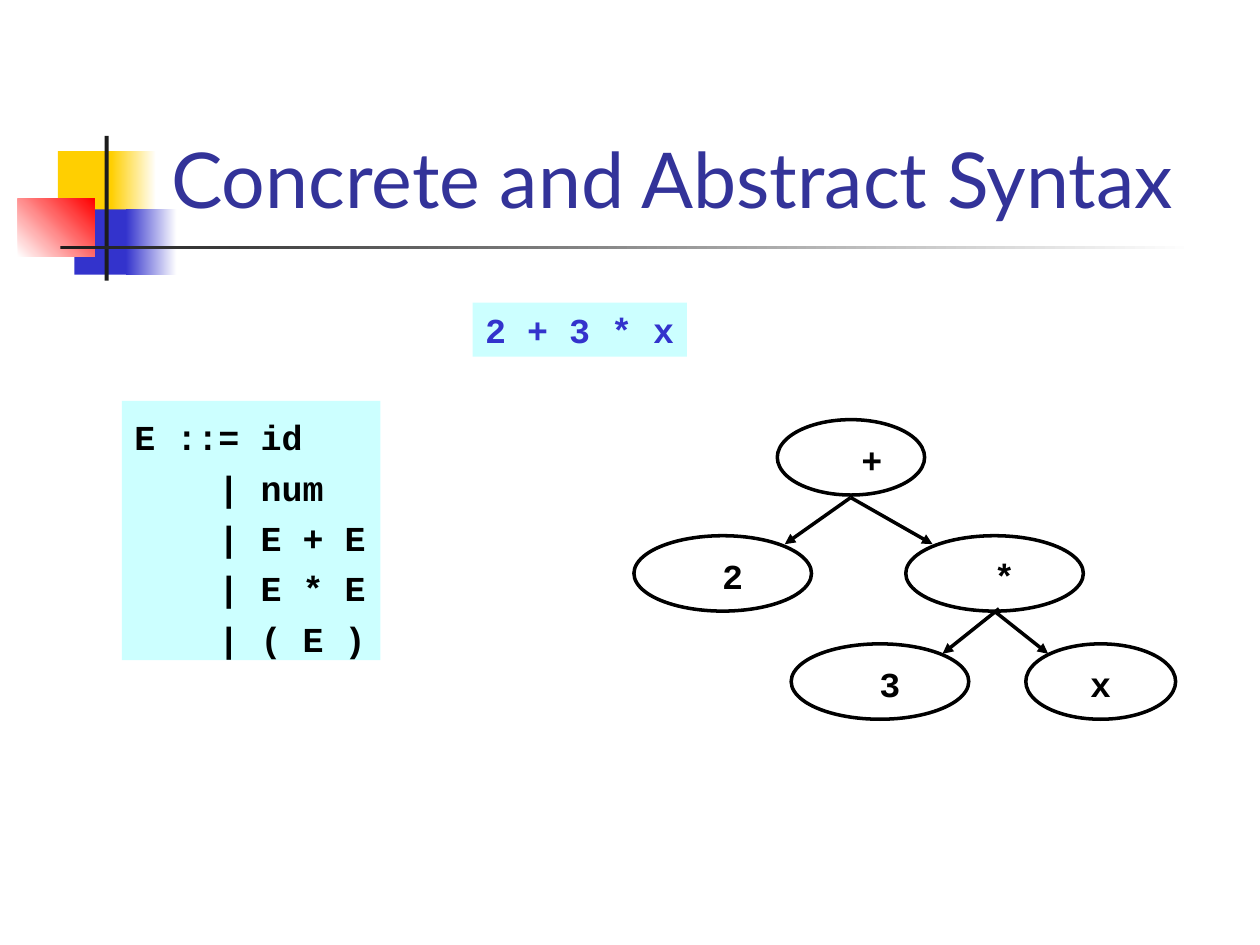
"""Build the slide on concrete and abstract syntax."""
from typing import NamedTuple

from lxml import etree
from pptx import Presentation
from pptx.dml.color import RGBColor
from pptx.enum.shapes import MSO_CONNECTOR, MSO_SHAPE
from pptx.enum.text import MSO_ANCHOR, PP_ALIGN
from pptx.oxml.ns import qn
from pptx.util import Cm, Pt

RECTANGLE, OVAL = MSO_SHAPE.RECTANGLE, MSO_SHAPE.OVAL
STRAIGHT = MSO_CONNECTOR.STRAIGHT
TOP, MIDDLE, BOTTOM = MSO_ANCHOR.TOP, MSO_ANCHOR.MIDDLE, MSO_ANCHOR.BOTTOM
LEFT, CENTER = PP_ALIGN.LEFT, PP_ALIGN.CENTER

COLORS = {
    "yellow": "FFCF01", "blue": "3333CC", "red": "FF0000", "white": "FFFFFF",
    "charcoal": "1C1C1C", "title": "333399", "panel": "CCFFFF", "black": "000000",
}
CODE_FONT, TITLE_FONT = "Courier New", "Lato"
NODE_HEIGHT = 1.52
GRAMMAR = ["E ::= id", "    | num", "    | E + E", "    | E * E", "    | ( E )"]


class Block(NamedTuple):
    """A rectangle in centimetres, solid or fading to a second color."""
    left: float
    top: float
    width: float
    height: float
    color: str
    fade: str = ""
    angle: float = 0


class Node(NamedTuple):
    """A syntax tree node whose label sits right of centre by shift."""
    label: str
    left: float
    top: float
    width: float
    shift: float


class Edge(NamedTuple):
    """An arrow between two points in centimetres."""
    start_x: float
    start_y: float
    end_x: float
    end_y: float


BLOCKS = [
    Block(1.17, 3.05, 1.22, 1.32, "yellow"),
    Block(2.24, 3.05, 0.91, 1.32, "yellow", "white"),
    Block(1.5, 4.22, 1.17, 1.32, "blue"),
    Block(2.54, 4.22, 1.02, 1.32, "blue", "white"),
    Block(0.36, 4.01, 1.55, 1.17, "white", "red", 45),
    Block(2.11, 2.74, 0.08, 2.92, "charcoal"),
    Block(1.22, 4.95, 22.86, 0.08, "charcoal", "white"),
]
EXPRESSION_PANEL = Block(9.53, 6.1, 4.32, 1.09, "panel")
GRAMMAR_PANEL = Block(2.46, 8.08, 5.21, 5.23, "panel")
NODES = [
    Node("+", 15.67, 8.46, 2.97, 0.42),
    Node("2", 12.78, 10.8, 3.58, 0.2),
    Node("*", 18.26, 10.8, 3.58, 0.2),
    Node("3", 15.95, 12.98, 3.58, 0.2),
    Node("x", 20.68, 12.98, 3.02, 0),
]
EDGES = [
    Edge(17.15, 10.03, 15.82, 10.97),
    Edge(17.15, 10.03, 18.8, 10.97),
    Edge(20.14, 12.27, 19, 13.18),
    Edge(20.07, 12.34, 21.13, 13.18),
]


def rgb(name: str) -> RGBColor:
    """Return the named color."""
    return RGBColor.from_string(COLORS[name])


def write(box, lines: list[str], *, font=CODE_FONT, size=20, color="black", bold=True,
          align=LEFT, anchor=TOP, wrap=False, gap=0.0, margins=(0.25, 0.13, 0.25, 0.13)) -> None:
    """Fill the box with one formatted paragraph per line."""
    frame = box.text_frame
    frame.word_wrap, frame.vertical_anchor = wrap, anchor
    (frame.margin_left, frame.margin_top,
     frame.margin_right, frame.margin_bottom) = map(Cm, margins)
    for index, line in enumerate(lines):
        para = frame.add_paragraph() if index else frame.paragraphs[0]
        para.alignment = align
        para.space_before = Pt(gap if index else 0)
        span = para.add_run()
        span.text = line
        span.font.name, span.font.size, span.font.bold = font, Pt(size), bold
        span.font.color.rgb = rgb(color)


def draw_block(page, block: Block):
    """Draw a borderless rectangle and return it."""
    shape = page.shapes.add_shape(RECTANGLE, *map(Cm, block[:4]))
    shape.shadow.inherit = False
    shape.line.fill.background()
    if block.fade:
        shape.fill.gradient()
        shape.fill.gradient_angle = block.angle
        for stop, name in zip(shape.fill.gradient_stops, (block.color, block.fade)):
            stop.color.rgb = rgb(name)
    else:
        shape.fill.solid()
        shape.fill.fore_color.rgb = rgb(block.color)
    return shape


def draw_node(page, node: Node) -> None:
    """Draw an outlined ellipse with its label."""
    shape = page.shapes.add_shape(
        OVAL, Cm(node.left), Cm(node.top), Cm(node.width), Cm(NODE_HEIGHT))
    shape.shadow.inherit = False
    shape.fill.background()
    shape.line.color.rgb = rgb("black")
    shape.line.width = Pt(2)
    write(shape, [node.label], align=CENTER, anchor=MIDDLE, wrap=True,
          margins=(2 * node.shift, 0.13, 0, 0.05))


def draw_edge(page, edge: Edge) -> None:
    """Draw a straight arrow."""
    arrow = page.shapes.add_connector(STRAIGHT, *map(Cm, edge))
    arrow.line.color.rgb = rgb("black")
    arrow.line.width = Pt(2)
    etree.SubElement(arrow.line._get_or_add_ln(), qn("a:tailEnd"), type="triangle")
    etree.SubElement(arrow._element.spPr, qn("a:effectLst"))


def main() -> None:
    """Assemble and save the deck."""
    deck = Presentation()
    deck.slide_width, deck.slide_height = Cm(25.4), Cm(19.05)
    page = deck.slides.add_slide(deck.slide_layouts[5])
    for block in BLOCKS:
        draw_block(page, block)
    title = page.shapes.title
    title.left, title.top, title.width, title.height = map(Cm, (3.2, 0.58, 21.64, 4.06))
    write(title, ["Concrete and Abstract Syntax"], font=TITLE_FONT, size=44,
          color="title", bold=False, anchor=BOTTOM, wrap=True)
    write(draw_block(page, EXPRESSION_PANEL), ["2 + 3 * x"], color="blue", anchor=MIDDLE)
    write(draw_block(page, GRAMMAR_PANEL), GRAMMAR, gap=4.8,
          margins=(0.25, 0.3, 0.25, 0.13))
    for node in NODES:
        draw_node(page, node)
    for edge in EDGES:
        draw_edge(page, edge)
    deck.save("out.pptx")


if __name__ == "__main__":
    main()
